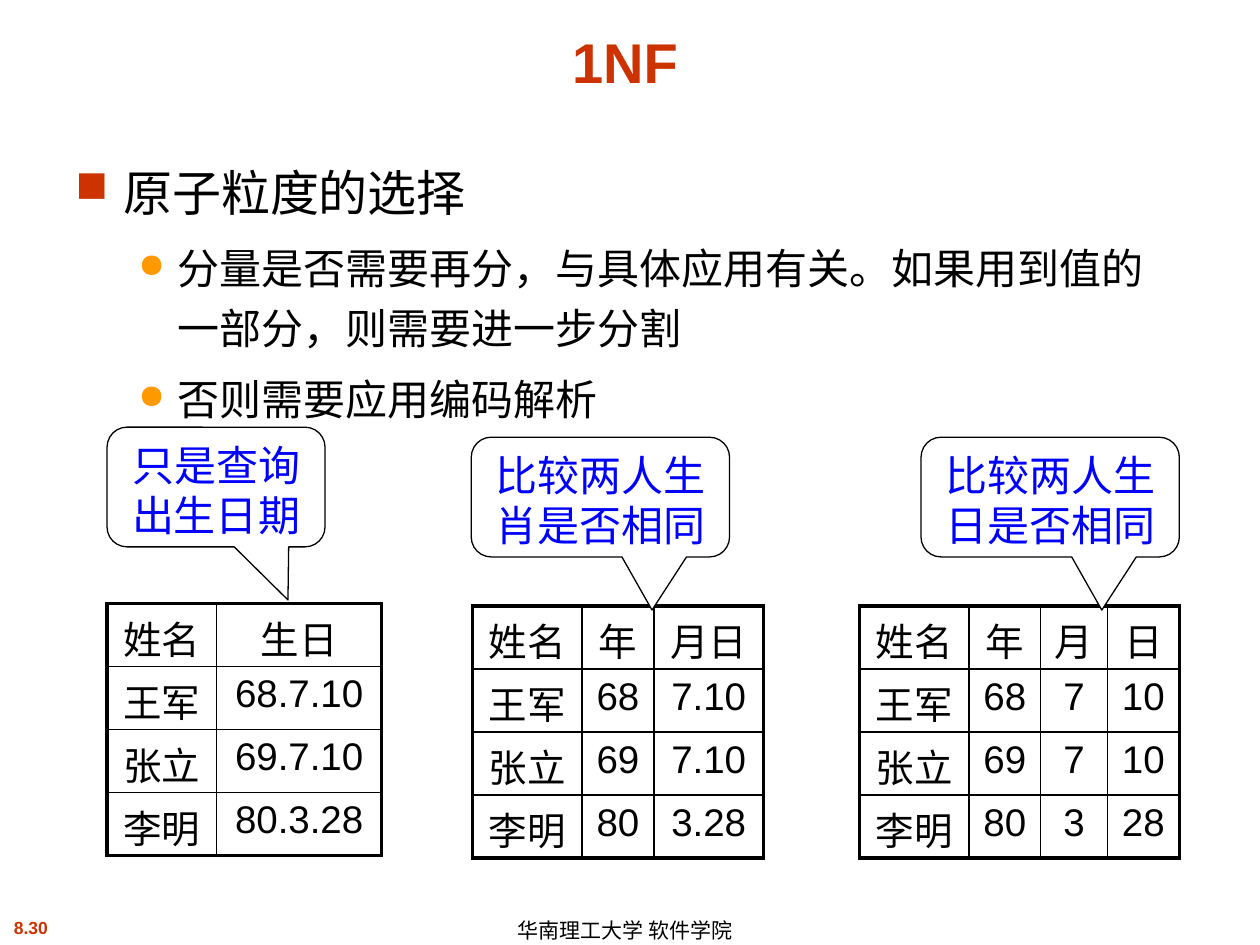
"""Build the 1NF slide on choosing the granularity of atomic values."""
from dataclasses import dataclass
from typing import Any

from lxml import etree
from pptx import Presentation
from pptx import util as u
from pptx.dml.color import RGBColor
from pptx.enum import shapes, text
from pptx.oxml import ns


@dataclass(frozen=True)
class Theme:
    black: str = "000000"
    white: str = "FFFFFF"
    red: str = "CC3300"
    orange: str = "FF9900"
    blue: str = "0000FF"
    font: str = "Arial"
    callout_font: str = "Lato"
    title: int = 32
    heading: int = 28
    body: int = 24
    cell: int = 22
    footer: int = 12
    number: int = 10
    frame: float = 2.25
    grid: float = 1
    outline: float = 0.75


@dataclass(frozen=True)
class Bullet:
    words: str
    level: int
    size: int
    mark: str
    color: str
    scale: int
    left: float
    hang: float


@dataclass(frozen=True)
class Callout:
    words: str
    left: float
    top: float
    width: float
    tip: float


@dataclass(frozen=True)
class Grid:
    left: float
    top: float
    widths: tuple[float, ...]
    rows: tuple[str, ...]


THEME = Theme()
ROW_HEIGHT = 0.5
CALLOUT_HEIGHT = 0.95

BULLETS = (
    Bullet("原子粒度的选择", 0, THEME.heading, "■", THEME.red, 90, 0.38, 0.38),
    *(
        Bullet(words, 1, THEME.body, "●", THEME.orange, 80, 0.81, 0.31)
        for words in (
            "分量是否需要再分，与具体应用有关。如果用到值的一部分，则需要进一步分割",
            "否则需要应用编码解析",
        )
    ),
)

EXAMPLES = (
    (
        Grid(0.85, 4.79, (0.87, 1.31),
             ("姓名 生日", "王军 68.7.10", "张立 69.7.10", "李明 80.3.28")),
        Callout("只是查询出生日期", 0.85, 3.39, 1.73, 0.33),
    ),
    (
        Grid(3.75, 4.81, (0.87, 0.57, 0.87),
             ("姓名 年 月日", "王军 68 7.10", "张立 69 7.10", "李明 80 3.28")),
        Callout("比较两人生肖是否相同", 3.74, 3.47, 2.05, 0.2),
    ),
    (
        Grid(6.82, 4.81, (0.87, 0.57, 0.53, 0.57),
             ("姓名 年 月 日", "王军 68 7 10", "张立 69 7 10", "李明 80 3 28")),
        Callout("比较两人生日是否相同", 7.31, 3.47, 2.05, 0.2),
    ),
)


def apply(target: Any, values: dict[str, Any]) -> None:
    """Set each named attribute of the target."""
    for name, value in values.items():
        setattr(target, name, value)


def add_child(parent: Any, tag: str, **values: str) -> Any:
    """Append a drawing element with its attributes."""
    return etree.SubElement(parent, ns.qn(f"a:{tag}"), values)


def write(para: Any, words: str, size: int, color: str = THEME.black,
          font: str = THEME.font, bold: bool = False, **layout: Any) -> None:
    """Write one styled span into a paragraph."""
    span = para.add_run()
    span.text = words
    apply(span.font, {"name": font, "size": u.Pt(size), "bold": bold})
    span.font.color.rgb = RGBColor.from_string(color)
    apply(para, layout)


def add_box(page: Any, area: tuple[float, ...], **layout: Any) -> Any:
    """Add a text box and return its text frame."""
    box = page.shapes.add_textbox(*map(u.Inches, area))
    apply(box.text_frame, {"word_wrap": True, **layout})
    return box.text_frame


def add_bullets(page: Any, bullets: tuple[Bullet, ...]) -> None:
    """Add the bulleted body text."""
    frame = add_box(page, (0.5, 1.15, 9, 4.95))
    for index, bullet in enumerate(bullets):
        para = frame.add_paragraph() if index else frame.paragraphs[0]
        write(para, bullet.words, bullet.size, level=bullet.level,
              line_spacing=1.2, space_before=u.Pt(6))
        props = para._p.get_or_add_pPr()
        props.set("marL", str(u.Inches(bullet.left)))
        props.set("indent", str(-u.Inches(bullet.hang)))
        add_child(add_child(props, "buClr"), "srgbClr", val=bullet.color)
        add_child(props, "buSzPct", val=str(bullet.scale * 1000))
        add_child(props, "buChar", char=bullet.mark)


def add_borders(cell: Any, outer: dict[str, bool]) -> None:
    """Draw heavy lines on outer edges and thin lines elsewhere."""
    props = cell._tc.get_or_add_tcPr()
    for side, heavy in outer.items():
        width = u.Pt(THEME.frame if heavy else THEME.grid)
        line = add_child(props, f"ln{side}", w=str(width))
        add_child(add_child(line, "solidFill"), "srgbClr", val=THEME.black)


def add_grid(page: Any, grid: Grid) -> None:
    """Add one framed table of names and dates."""
    last_row, last_column = len(grid.rows) - 1, len(grid.widths) - 1
    area = (grid.left, grid.top, sum(grid.widths), ROW_HEIGHT * len(grid.rows))
    table = page.shapes.add_table(
        last_row + 1, last_column + 1, *map(u.Inches, area)).table
    apply(table, {"first_row": False, "horz_banding": False})
    for column, width in zip(table.columns, grid.widths):
        column.width = u.Inches(width)
    for y, row in enumerate(grid.rows):
        for x, words in enumerate(row.split()):
            cell = table.cell(y, x)
            write(cell.text_frame.paragraphs[0], words, THEME.cell,
                  alignment=text.PP_ALIGN.CENTER)
            add_borders(cell, {"L": x == 0, "R": x == last_column,
                               "T": y == 0, "B": y == last_row})
            cell.fill.background()


def add_callout(page: Any, callout: Callout) -> None:
    """Add a speech bubble pointing at its table."""
    area = (callout.left, callout.top, callout.width, CALLOUT_HEIGHT)
    bubble = page.shapes.add_shape(
        shapes.MSO_SHAPE.ROUNDED_RECTANGULAR_CALLOUT, *map(u.Inches, area))
    for index, value in enumerate((callout.tip, 0.944, 0.167)):
        bubble.adjustments[index] = value
    bubble.shadow.inherit = False
    bubble.fill.solid()
    bubble.fill.fore_color.rgb = RGBColor.from_string(THEME.white)
    bubble.line.color.rgb = RGBColor.from_string(THEME.black)
    bubble.line.width = u.Pt(THEME.outline)
    apply(bubble.text_frame,
          {"word_wrap": True, "vertical_anchor": text.MSO_ANCHOR.TOP})
    write(bubble.text_frame.paragraphs[0], callout.words, THEME.body, THEME.blue,
          THEME.callout_font, alignment=text.PP_ALIGN.CENTER)


def main() -> None:
    """Build and save the deck."""
    deck = Presentation()
    apply(deck, {"slide_width": u.Inches(10), "slide_height": u.Inches(7.5)})
    page = deck.slides.add_slide(deck.slide_layouts[6])
    center = text.PP_ALIGN.CENTER
    number = add_box(page, (0, 7.23, 0.49, 0.27), word_wrap=False)
    write(number.paragraphs[0], "8.30", THEME.number, THEME.red, bold=True, alignment=center)
    footer = add_box(page, (4.01, 7.25, 2.24, 0.25), word_wrap=False,
                     vertical_anchor=text.MSO_ANCHOR.MIDDLE)
    write(footer.paragraphs[0], "华南理工大学 软件学院", THEME.footer, line_spacing=1.1)
    title = add_box(page, (0.25, 0.13, 9.42, 0.67), vertical_anchor=text.MSO_ANCHOR.BOTTOM)
    write(title.paragraphs[0], "1NF", THEME.title, THEME.red, bold=True, alignment=center)
    add_bullets(page, BULLETS)
    for grid, callout in EXAMPLES:
        add_grid(page, grid)
        add_callout(page, callout)
    deck.save("out.pptx")


if __name__ == "__main__":
    main()
